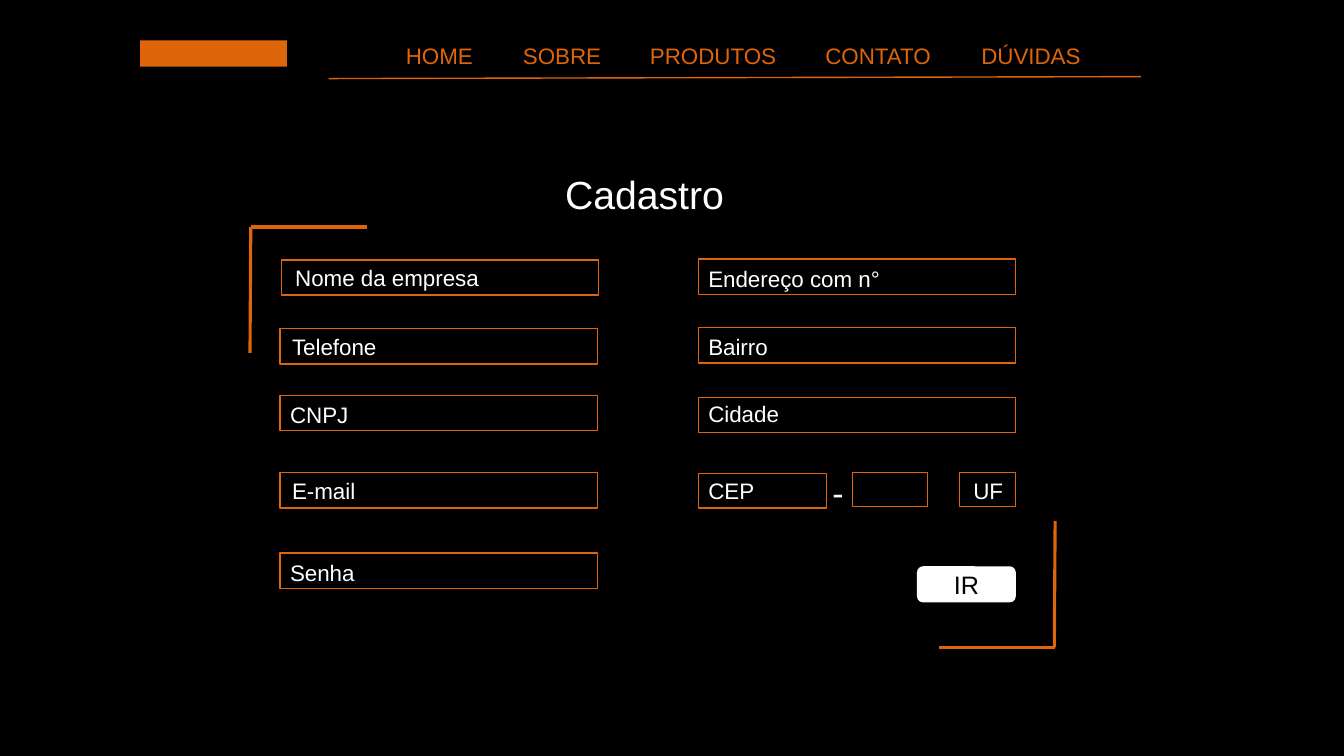
"""Build the dark sign-up form slide with its navigation bar."""
from lxml import etree
from pptx import Presentation
from pptx.dml.color import RGBColor
from pptx.enum.shapes import MSO_CONNECTOR, MSO_SHAPE
from pptx.enum.text import MSO_ANCHOR, PP_ALIGN
from pptx.oxml.ns import qn
from pptx.util import Cm, Pt

BLACK, WHITE, ORANGE = "000000", "FFFFFF", "DE650A"
FONT = "Arial"
MENU = [("HOME", 6.73), ("SOBRE", 9.68), ("PRODUTOS", 12.88),
        ("CONTATO", 17.3), ("DÚVIDAS", 21.23)]
LEFT, RIGHT = 7.06, 17.6
FIELD_W, FIELD_H, SMALL_H = 8, 0.89, 0.86
LABEL_W, LABEL_H = 7.8, 0.94
BADGE = (3.53, 1.02, 3.7, 0.66)
BUTTON = (23.11, 14.27, 2.49, 0.91)
FIELDS = [
    (LEFT + 0.03, 6.55, FIELD_W, FIELD_H),
    (LEFT, 8.28, FIELD_W, FIELD_H),
    (LEFT, 9.96, FIELD_W, FIELD_H),
    (LEFT, 11.91, FIELD_W, FIELD_H),
    (LEFT, 13.94, FIELD_W, FIELD_H),
    (RIGHT, 6.53, FIELD_W, FIELD_H),
    (RIGHT, 8.26, FIELD_W, FIELD_H),
    (RIGHT, 10.01, FIELD_W, FIELD_H),
    (RIGHT, 11.94, 3.23, SMALL_H),
    (21.49, 11.91, 1.88, SMALL_H),
    (24.18, 11.91, 1.42, SMALL_H),
]
LABELS = [
    ("Nome da empresa", LEFT + 0.13, 6.53, LABEL_W),
    ("Telefone", LEFT + 0.05, 8.28, LABEL_W),
    ("CNPJ", LEFT, 9.98, LABEL_W),
    ("E-mail", LEFT + 0.05, 11.89, LABEL_W),
    ("Senha", LEFT, 13.97, LABEL_W),
    ("Endereço com n°", RIGHT, 6.55, LABEL_W),
    ("Bairro", RIGHT, 8.26, LABEL_W),
    ("Cidade", RIGHT, 9.96, LABEL_W),
    ("CEP", RIGHT, 11.91, 5.77),
    ("UF", 24.28, 11.89, 1.42),
]
LINES = [
    (8.28, 1.98, 28.75, 1.93, 1),
    (6.32, 5.72, 6.3, 8.89, 2.25),
    (9.25, 5.72, 6.32, 5.72, 2.25),
    (26.59, 13.13, 26.57, 16.31, 2.25),
    (26.59, 16.31, 23.67, 16.31, 2.25),
]


def rgb(value):
    return RGBColor.from_string(value)


def write(p, text, size, color):
    p.text = text
    p.font.name, p.font.size = FONT, Pt(size)
    p.font.color.rgb = rgb(color)


def add_text(slide, text, x, y, w, h, size, color=WHITE, stops=()):
    box = slide.shapes.add_textbox(Cm(x), Cm(y), Cm(w), Cm(h))
    tf = box.text_frame
    tf.word_wrap = True
    p = tf.paragraphs[0]
    if stops:
        tabs = etree.SubElement(p._p.get_or_add_pPr(), qn("a:tabLst"))
        for stop in stops:
            etree.SubElement(tabs, qn("a:tab"), pos=str(Cm(stop)), algn="l")
    write(p, text, size, color)


def add_box(slide, kind, x, y, w, h, fill=None, line=None):
    sp = slide.shapes.add_shape(kind, Cm(x), Cm(y), Cm(w), Cm(h))
    sp.shadow.inherit = False
    if fill:
        sp.fill.solid()
        sp.fill.fore_color.rgb = rgb(fill)
    else:
        sp.fill.background()
    if line:
        sp.line.color.rgb = rgb(line)
        sp.line.width = Pt(1)
    else:
        sp.line.fill.background()
    return sp


def add_line(slide, x1, y1, x2, y2, width):
    line = slide.shapes.add_connector(MSO_CONNECTOR.STRAIGHT, Cm(x1), Cm(y1), Cm(x2), Cm(y2))
    line.line.color.rgb = rgb(ORANGE)
    line.line.width = Pt(width)
    etree.SubElement(line._element.spPr, qn("a:effectLst"))


def add_button(slide):
    sp = add_box(slide, MSO_SHAPE.ROUNDED_RECTANGLE, *BUTTON, fill=WHITE)
    tf = sp.text_frame
    tf.vertical_anchor = MSO_ANCHOR.MIDDLE
    p = tf.paragraphs[0]
    p.alignment = PP_ALIGN.CENTER
    write(p, "IR", 18, BLACK)


def main():
    prs = Presentation()
    prs.slide_width, prs.slide_height = Cm(33.87), Cm(19.05)
    slide = prs.slides.add_slide(prs.slide_layouts[6])
    slide.background.fill.solid()
    slide.background.fill.fore_color.rgb = rgb(BLACK)
    add_box(slide, MSO_SHAPE.RECTANGLE, *BADGE, fill=ORANGE)
    menu = "".join("\t" + name for name, _ in MENU)
    add_text(slide, menu, 3.25, 0.94, 29.77, 0.94, 16, ORANGE, [stop for _, stop in MENU])
    add_text(slide, "Cadastro", 13.99, 4.17, 4.83, 1.45, 28)
    for line in LINES:
        add_line(slide, *line)
    for field in FIELDS:
        add_box(slide, MSO_SHAPE.RECTANGLE, *field, line=ORANGE)
    for text, x, y, w in LABELS:
        add_text(slide, text, x, y, w, LABEL_H, 16)
    add_text(slide, "-", 20.73, 11.76, 0.66, 1.27, 24)
    add_button(slide)
    prs.save("out.pptx")


if __name__ == "__main__":
    main()
